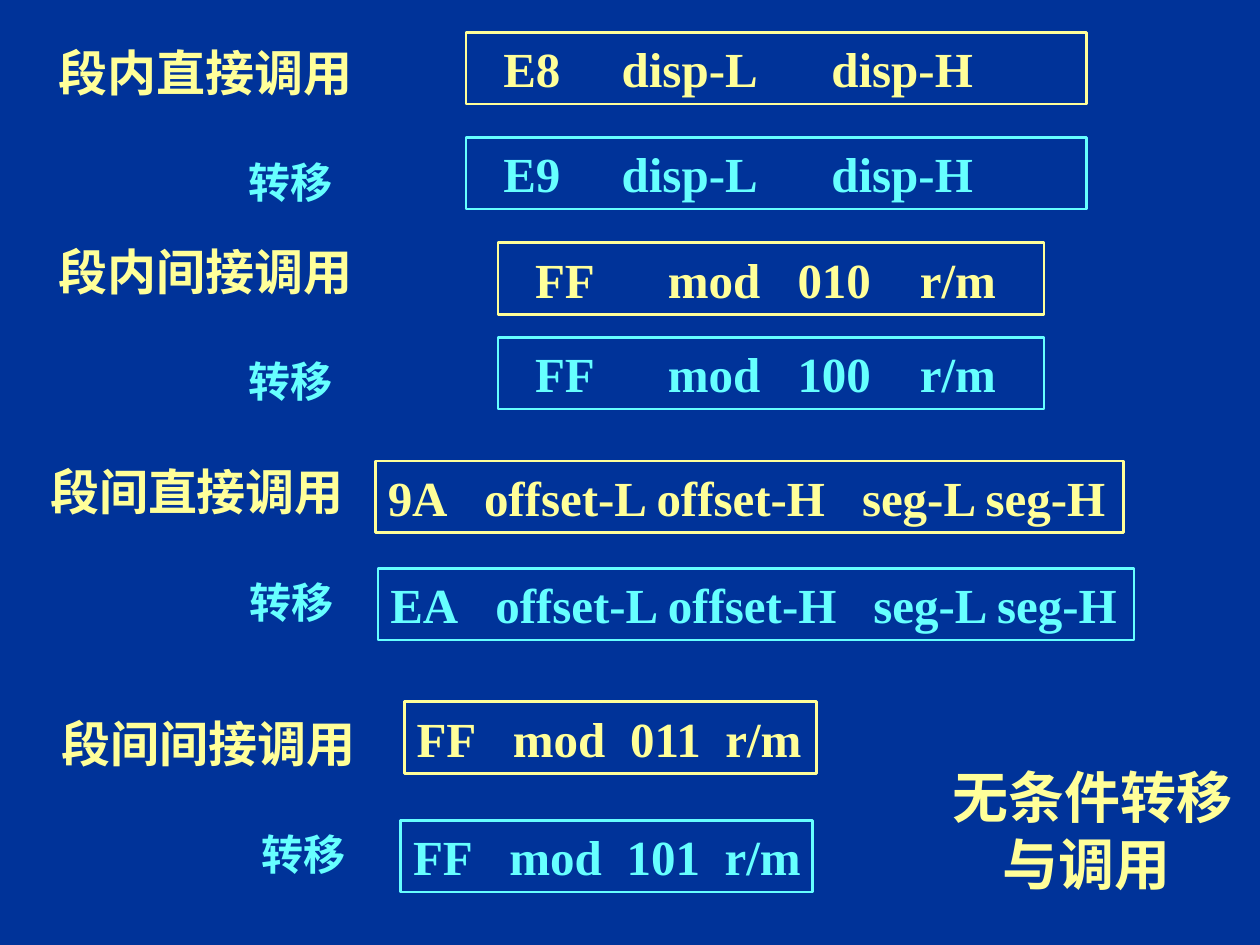
from lxml.etree import SubElement
from pptx import Presentation
from pptx.dml.color import RGBColor
from pptx.enum.shapes import MSO_SHAPE
from pptx.enum.text import MSO_ANCHOR, MSO_AUTO_SIZE, PP_ALIGN
from pptx.oxml.ns import qn
from pptx.util import Pt

YELLOW, CYAN = "FFFF99", "66FFFF"


def rgb(value):
    return RGBColor.from_string(value)


def style(p, size, color):
    fmt = {"name": "Times New Roman", "size": Pt(size), "bold": True}
    for r in p.runs:
        for key, value in fmt.items():
            setattr(r.font, key, value)
        r.font.color.rgb = rgb(color)


prs = Presentation()
prs.slide_width, prs.slide_height = Pt(720), Pt(540)
s = prs.slides.add_slide(prs.slide_layouts[5])
s.background.fill.solid()
s.background.fill.fore_color.rgb = rgb("003399")

title = s.shapes.title
title.left, title.top, title.width, title.height = Pt(522), Pt(432), Pt(198), Pt(84)
tf = title.text_frame
tf.text = " 无条件转移\v与调用"
tf.word_wrap, tf.auto_size = True, MSO_AUTO_SIZE.NONE
tf.vertical_anchor = MSO_ANCHOR.MIDDLE
tf.paragraphs[0].alignment = PP_ALIGN.CENTER
style(tf.paragraphs[0], 32, YELLOW)

# call label, left, top, indent of the jump label
labels = [
    ("段内直接调用", 26.6, 17.3, 108.5),
    ("段内间接调用", 26.6, 131, 108.5),
    ("段间直接调用", 21.6, 257, 114),
    ("段间间接调用", 28.1, 401, 114),
]
for call, left, top, indent in labels:
    sp = s.shapes.add_textbox(Pt(left), Pt(top), Pt(198), Pt(108))
    tf = sp.text_frame
    tf.word_wrap, tf.auto_size = True, MSO_AUTO_SIZE.SHAPE_TO_FIT_TEXT
    tf.vertical_anchor = MSO_ANCHOR.MIDDLE
    tf.text = call
    style(tf.paragraphs[0], 28, YELLOW)
    p = tf.add_paragraph()
    p.text = "转移"
    p.space_before = Pt(32)
    p._p.get_or_add_pPr().set("marL", str(Pt(indent)))
    style(p, 24, CYAN)

# colour, left, top, width, left inset, fields, tab stop before each later field
codes = [
    (YELLOW, 266.4, 18.5, 354.5, 21.2, ["E8", "disp-L", "disp-H"], [67.7, 187.5]),
    (CYAN, 266.4, 78.5, 354.5, 21.2, ["E9", "disp-L", "disp-H"], [67.7, 187.5]),
    (YELLOW, 284.5, 138.7, 312, 21.2, ["FF", "mod", "010", "r/m"], [76, 150, 220]),
    (CYAN, 284.5, 192.8, 312, 21.2, ["FF", "mod", "100", "r/m"], [76, 150, 220]),
    (YELLOW, 214.5, 263.4, 427.5, 7.2,
     ["9A", "offset-L offset-H", "seg-L seg-H"], [55, 271]),
    (CYAN, 216, 324.8, 432, 7.2,
     ["EA", "offset-L offset-H", "seg-L seg-H"], [60, 276]),
    (YELLOW, 231, 401, 235.5, 7.2, ["FF", "mod", "011", "r/m"], [55, 122, 176.5]),
    (CYAN, 229, 468.7, 235.5, 7.2, ["FF", "mod", "101", "r/m"], [55, 122, 178]),
]
for color, left, top, width, inset, fields, stops in codes:
    sp = s.shapes.add_shape(MSO_SHAPE.RECTANGLE, Pt(left), Pt(top), Pt(width), Pt(41))
    sp.shadow.inherit = False
    sp.fill.background()
    sp.line.color.rgb = rgb(color)
    sp.line.width = Pt(1.5)
    tf = sp.text_frame
    tf.word_wrap, tf.vertical_anchor = True, MSO_ANCHOR.MIDDLE
    tf.margin_left, tf.margin_right = Pt(inset), 0
    p = tf.paragraphs[0]
    p.text = "\t".join(fields)
    p.alignment = PP_ALIGN.LEFT
    tabs = SubElement(p._p.get_or_add_pPr(), qn("a:tabLst"))
    for stop in stops:
        SubElement(tabs, qn("a:tab"), pos=str(Pt(stop)), algn="l")
    style(p, 28, color)

prs.save("out.pptx")
